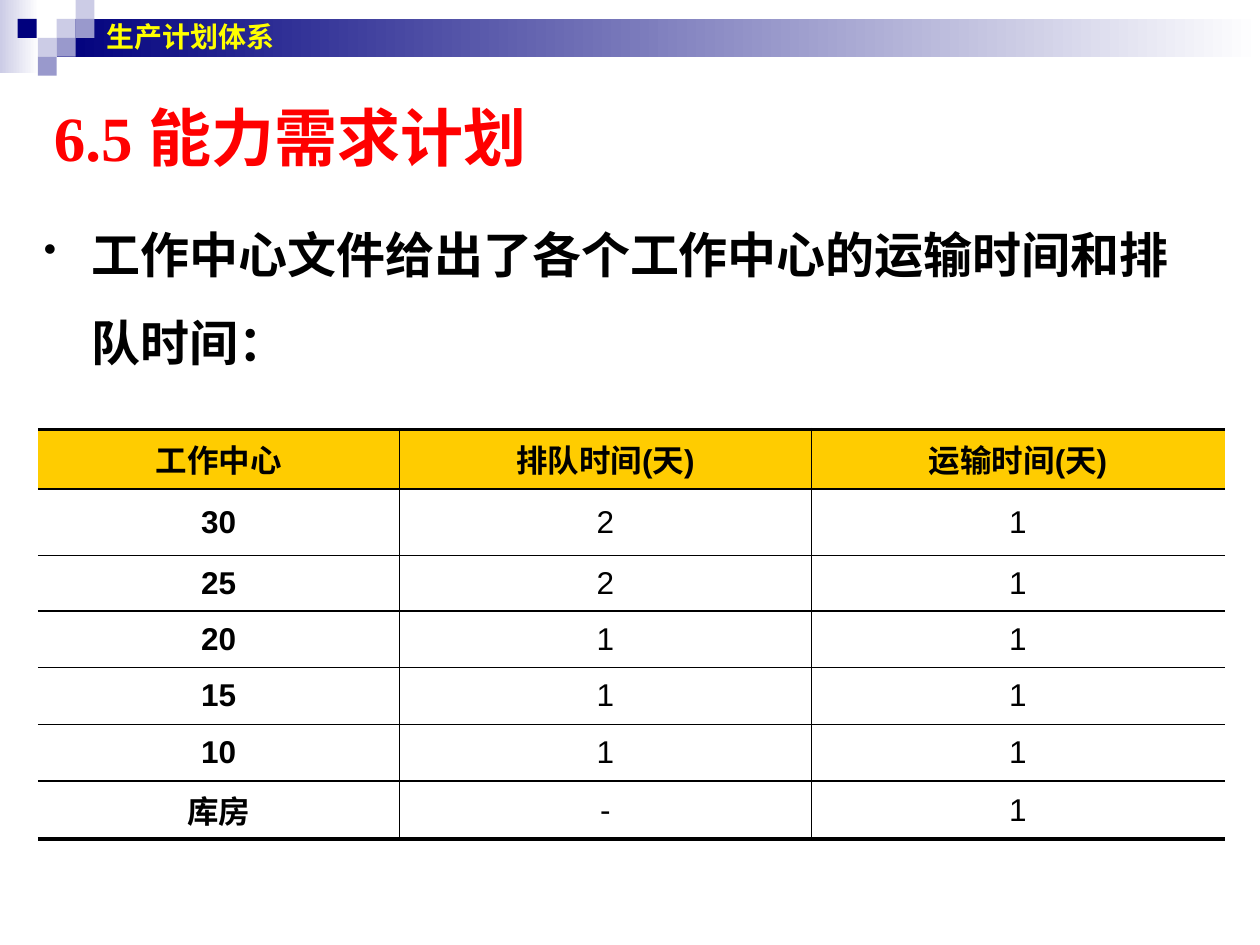
import pptx
import pptx.util
import pptx.dml.color
import pptx.enum.shapes
import pptx.enum.text
import pptx.oxml.ns
import lxml.etree

Inches = pptx.util.Inches
Pt = pptx.util.Pt
MIDDLE = pptx.enum.text.MSO_ANCHOR.MIDDLE
CENTER = pptx.enum.text.PP_ALIGN.CENTER
NAVY, LAVENDER, VIOLET = "00007D", "CCCCE6", "9999CC"


def color(hex_value):
    return pptx.dml.color.RGBColor.from_string(hex_value)


def write(frame, text, size=18, font="Arial", fill="000000", bold=True,
          align=None, anchor=None, spacing=None, bullet=None):
    frame.word_wrap = True
    if anchor is not None:
        frame.vertical_anchor = anchor
    paragraph = frame.paragraphs[0]
    paragraph.alignment = align
    paragraph.line_spacing = spacing
    if bullet:
        properties = paragraph._p.get_or_add_pPr()
        properties.set("marL", str(Inches(0.38)))
        properties.set("indent", str(-Inches(0.38)))
        bullet_color = lxml.etree.SubElement(properties, pptx.oxml.ns.qn("a:buClr"))
        lxml.etree.SubElement(bullet_color, pptx.oxml.ns.qn("a:srgbClr"), val=fill)
        lxml.etree.SubElement(properties, pptx.oxml.ns.qn("a:buSzPct"), val="75000")
        lxml.etree.SubElement(properties, pptx.oxml.ns.qn("a:buChar"), char=bullet)
    run = paragraph.add_run()
    run.text = text
    run.font.size = Pt(size)
    run.font.name = font
    run.font.bold = bold
    run.font.color.rgb = color(fill)


presentation = pptx.Presentation()
presentation.slide_width = Inches(10)
presentation.slide_height = Inches(7.5)
slide = presentation.slides.add_slide(presentation.slide_layouts[6])

# Header band: gradient bars, then the checkered squares
header_parts = [
    (0, 0, 0.31, 0.58, [LAVENDER, "FFFFFF"]),
    (0.45, 0.15, 9.55, 0.3, [NAVY, "FFFFFF"]),
]
for left, top, fill in [
    (0.45, 0.15, LAVENDER), (0.6, 0, LAVENDER), (0.6, 0.15, VIOLET),
    (0.3, 0.3, LAVENDER), (0.14, 0.15, NAVY), (0.45, 0.3, VIOLET),
    (0.3, 0.45, VIOLET),
]:
    header_parts.append((left, top, 0.15, 0.15, [fill]))

for left, top, width, height, fills in header_parts:
    block = slide.shapes.add_shape(
        pptx.enum.shapes.MSO_SHAPE.RECTANGLE,
        Inches(left), Inches(top), Inches(width), Inches(height))
    block.shadow.inherit = False
    block.line.fill.background()
    if len(fills) == 1:
        block.fill.solid()
        block.fill.fore_color.rgb = color(fills[0])
    else:
        block.fill.gradient()
        block.fill.gradient_angle = 0
        for stop, position, fill in zip(block.fill.gradient_stops, (0, 1), fills):
            stop.position = position
            stop.color.rgb = color(fill)

# Lead sentence, chapter name and section title
lead = slide.shapes.add_textbox(Inches(0.25), Inches(1.5), Inches(9.25), Inches(5.92))
write(lead.text_frame, "工作中心文件给出了各个工作中心的运输时间和排队时间：",
      size=28, font="Times New Roman", spacing=1.5, bullet="•")

chapter = slide.shapes.add_textbox(Inches(0.75), Inches(0), Inches(8.83), Inches(0.58))
write(chapter.text_frame, "生产计划体系", size=16, fill="FFFF00", anchor=MIDDLE)

section = slide.shapes.add_textbox(Inches(0.33), Inches(0.75), Inches(9), Inches(0.67))
write(section.text_frame, "6.5 能力需求计划", size=36, font="Times New Roman",
      fill="FF0000", anchor=MIDDLE)

# Work center times
work_centers = [
    ("工作中心", "排队时间(天)", "运输时间(天)"),
    ("30", "2", "1"),
    ("25", "2", "1"),
    ("20", "1", "1"),
    ("15", "1", "1"),
    ("10", "1", "1"),
    ("库房", "-", "1"),
]
column_widths = [2.87, 3.27, 3.28]
row_heights = [0.47, 0.53, 0.44, 0.45, 0.45, 0.45, 0.46]
last_row, last_column = len(row_heights) - 1, len(column_widths) - 1

times = slide.shapes.add_table(
    len(row_heights), len(column_widths), Inches(0.3), Inches(3.41),
    Inches(sum(column_widths)), Inches(sum(row_heights))).table
times.first_row = False
times.horz_banding = False
for column, width in zip(times.columns, column_widths):
    column.width = Inches(width)
for row, height in zip(times.rows, row_heights):
    row.height = Inches(height)

for r, entries in enumerate(work_centers):
    for c, entry in enumerate(entries):
        cell = times.cell(r, c)
        write(cell.text_frame, entry, bold=r == 0 or c == 0, align=CENTER)
        cell.vertical_anchor = MIDDLE

        # Heavy rules above and below, open sides; borders precede the fill
        borders = {
            "a:lnL": 1 if c > 0 else 0,
            "a:lnR": 1 if c < last_column else 0,
            "a:lnT": 2.25 if r == 0 else 1,
            "a:lnB": 2.25 if r == last_row else 1,
        }
        cell_properties = cell._tc.get_or_add_tcPr()
        for side, points in borders.items():
            border = lxml.etree.SubElement(
                cell_properties, pptx.oxml.ns.qn(side), w=str(Pt(points)))
            if points:
                ink = lxml.etree.SubElement(border, pptx.oxml.ns.qn("a:solidFill"))
                lxml.etree.SubElement(ink, pptx.oxml.ns.qn("a:srgbClr"), val="000000")
            else:
                lxml.etree.SubElement(border, pptx.oxml.ns.qn("a:noFill"))

        if r == 0:
            cell.fill.solid()
            cell.fill.fore_color.rgb = color("FFCC00")
        else:
            cell.fill.background()

presentation.save("out.pptx")
